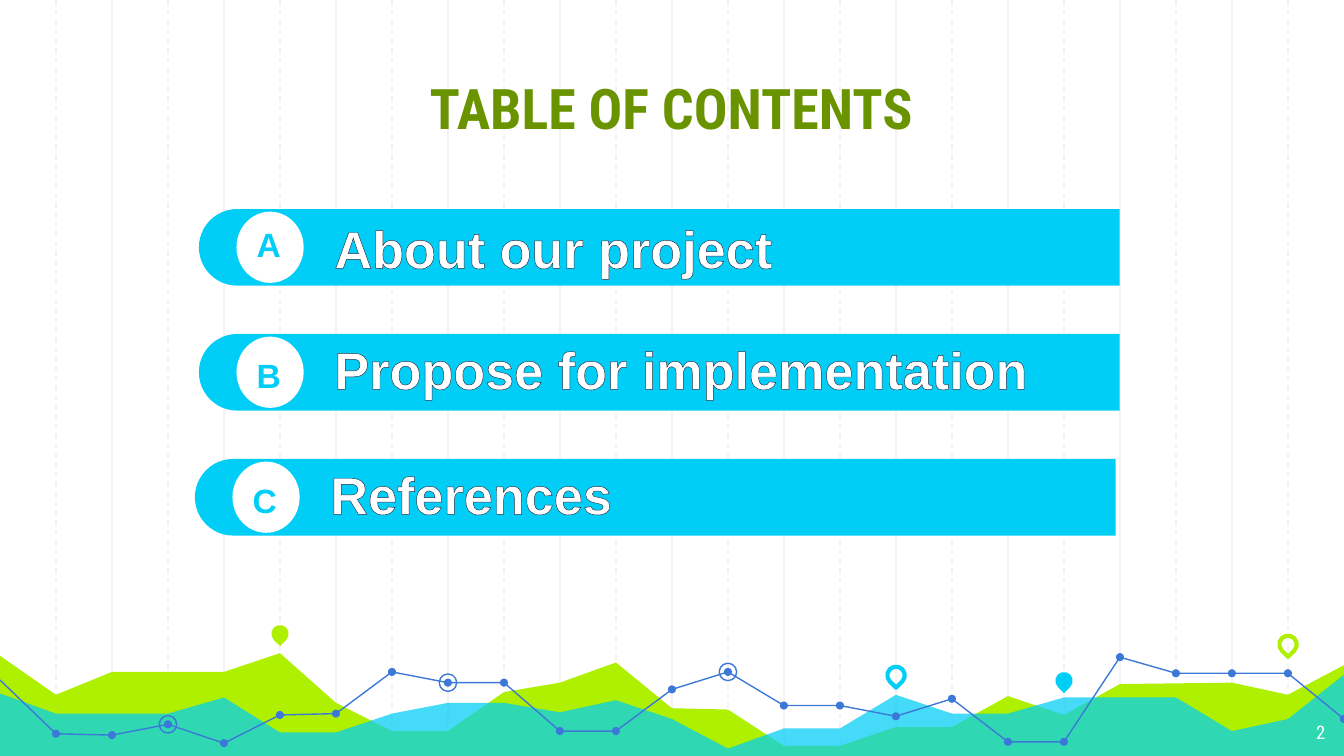
"""Build a table of contents slide with three lettered bars above a chart landscape."""
from lxml import etree
from pptx import Presentation
from pptx.dml.color import RGBColor
from pptx.enum.dml import MSO_LINE
from pptx.enum.shapes import MSO_CONNECTOR, MSO_SHAPE
from pptx.enum.text import MSO_ANCHOR, PP_ALIGN
from pptx.oxml.ns import qn
from pptx.util import Inches, Pt

GRID = RGBColor(0xF3, 0xF3, 0xF3)
LIME = RGBColor(0xAF, 0xF0, 0x00)
CYAN = RGBColor(0x00, 0xCE, 0xF6)
BLUE = RGBColor(0x3C, 0x78, 0xD8)
OLIVE = RGBColor(0x6A, 0x93, 0x00)
WHITE = RGBColor(0xFF, 0xFF, 0xFF)
OUTLINE = "28324A"
DASH = MSO_LINE.DASH
STRAIGHT = MSO_CONNECTOR.STRAIGHT
ELLIPSE = MSO_SHAPE.OVAL
TEARDROP = MSO_SHAPE.TEAR
BAR = MSO_SHAPE.ROUND_2_SAME_RECTANGLE
TOP, BOTTOM = MSO_ANCHOR.TOP, MSO_ANCHOR.BOTTOM
LEFT, CENTER, RIGHT = PP_ALIGN.LEFT, PP_ALIGN.CENTER, PP_ALIGN.RIGHT

WIDTH, HEIGHT = 10, 5.625
COLUMNS = 24
COLUMN = WIDTH / COLUMNS

presentation = Presentation()
presentation.slide_width = Inches(WIDTH)
presentation.slide_height = Inches(HEIGHT)
slide = presentation.slides.add_slide(presentation.slide_layouts[5])
shapes = slide.shapes


def paint(shape, fill=None, line=None, weight=0.75):
    shape.shadow.inherit = False
    if fill is None:
        shape.fill.background()
    else:
        shape.fill.solid()
        shape.fill.fore_color.rgb = fill
    if line is None:
        shape.line.fill.background()
    else:
        shape.line.color.rgb = line
        shape.line.width = Pt(weight)
    return shape


def write(shape, text, box, margin, anchor, alignment, font):
    for name, value in zip(("left", "top", "width", "height"), box):
        setattr(shape, name, Inches(value))
    frame = shape.text_frame
    layout = {"word_wrap": True, "vertical_anchor": anchor,
              "margin_left": Inches(0.1), "margin_right": Inches(0.1),
              "margin_top": Inches(margin), "margin_bottom": Inches(margin)}
    for name, value in layout.items():
        setattr(frame, name, value)
    paragraph = frame.paragraphs[0]
    paragraph.alignment = alignment
    run = paragraph.add_run()
    run.text = text
    size, family, bold, color = font
    for name, value in {"size": Pt(size), "name": family, "bold": bold}.items():
        setattr(run.font, name, value)
    run.font.color.rgb = color
    return run


for column in range(1, COLUMNS):
    x = Inches(column * COLUMN)
    grid_line = shapes.add_connector(STRAIGHT, x, 0, x, Inches(HEIGHT))
    grid_line.line.color.rgb = GRID
    grid_line.line.width = Pt(0.75)
    if column % 2:
        grid_line.line.dash_style = DASH
    etree.SubElement(grid_line.element.spPr, qn("a:effectLst"))

lime_ridge = [
    (0, 4.88), (1, 5.17), (2, 5), (4, 5), (5, 4.86), (6, 5.23), (7, 5.44), (8, 5.44),
    (9, 5.15), (10, 5.08), (11, 4.93), (12, 5.27), (13, 5.28), (14, 5.55), (15, 5.55),
    (16, 5.41), (17, 5.41), (18, 5.18), (19, 5.32), (20, 5.09), (22, 5.08), (23, 5.17),
    (24, 4.95)]
cyan_ridge = [
    (0, 5.16), (1, 5.31), (3, 5.31), (4, 5.19), (5, 5.45), (6, 5.45), (7, 5.31),
    (8, 5.23), (9, 5.23), (10, 5.3), (11, 5.21), (12, 5.35), (13, 5.57), (14, 5.42),
    (15, 5.42), (16, 5.17), (17, 5.31), (18, 5.31), (19, 5.19), (21, 5.19), (22, 5.44),
    (23, 5.35), (24, 5.02)]
trend = list(enumerate([
    5.06, 5.46, 5.47, 5.39, 5.53, 5.32, 5.31, 5, 5.08, 5.08, 5.44, 5.44, 5.13,
    5, 5.25, 5.25, 5.33, 5.2, 5.52, 5.52, 4.89, 5.01, 5.01, 5.01, 5.35]))
base = [(COLUMNS, HEIGHT), (0, HEIGHT)]

outlines = []
for points, closed in ((lime_ridge + base, True), (cyan_ridge + base, True), (trend, False)):
    vertices = [(Inches(column * COLUMN), Inches(y)) for column, y in points]
    builder = shapes.build_freeform(*vertices[0])
    builder.add_line_segments(vertices[1:], close=closed)
    outlines.append(builder.convert_to_shape())
lime_area, cyan_area, trend_line = outlines
paint(lime_area, fill=LIME)
paint(cyan_area, fill=CYAN)
paint(trend_line, line=BLUE)
cyan_color = cyan_area.element.spPr.find(qn("a:solidFill")).find(qn("a:srgbClr"))
etree.SubElement(cyan_color, qn("a:alpha"), val="73000")

dots = [(column, y, 0.06, BLUE, None) for column, y in trend[1:]]
rings = [(column, trend[column][1], 0.13, None, BLUE) for column in (3, 8, 13)]
for column, y, size, fill, line in dots + rings:
    marker = shapes.add_shape(ELLIPSE, Inches(column * COLUMN - size / 2),
                              Inches(y - size / 2), Inches(size), Inches(size))
    paint(marker, fill, line)

pins = [(5, 4.65, LIME, None), (16, 4.96, None, CYAN),
        (19, 5, CYAN, None), (23, 4.73, None, LIME)]
for column, top, fill, line in pins:
    pin = shapes.add_shape(TEARDROP, Inches(column * COLUMN - 0.065), Inches(top),
                           Inches(0.13), Inches(0.13))
    pin.rotation = 135
    paint(pin, fill, line, 2.25)

title = shapes.title
title.element.getparent().append(title.element)
write(title, "TABLE OF CONTENTS", (1.17, 0.37, 7.65, 0.78), 0.1, BOTTOM, CENTER,
      (30, "Roboto Condensed", True, OLIVE))
write(shapes.add_textbox(0, 0, 0, 0), "2", (9.36, 5.28, 0.6, 0.35), 0.1, TOP, RIGHT,
      (10, "Roboto Condensed", False, WHITE))

BAR_LENGTH, BAR_THICKNESS = 6.85, 0.57
entries = [("A", "About our project", 1.76, 1.62, 1.56),
           ("B", "Propose for implementation", 1.76, 2.59, 2.46),
           ("C", "References", 1.73, 3.52, 3.39)]
for row, (letter, topic, left, letter_top, topic_top) in enumerate(entries):
    middle = 1.84 + row * 0.93
    bar = shapes.add_shape(BAR, Inches(left + 3.145 - BAR_THICKNESS / 2),
                           Inches(middle - BAR_LENGTH / 2),
                           Inches(BAR_THICKNESS), Inches(BAR_LENGTH))
    bar.rotation = 270
    bar.adjustments[0] = 0.5
    paint(bar, fill=CYAN)
    badge = shapes.add_shape(ELLIPSE, Inches(left), Inches(middle - 0.265),
                             Inches(0.5), Inches(0.53))
    paint(badge, fill=WHITE)
    write(shapes.add_textbox(0, 0, 0, 0), letter, (left, letter_top, 0.48, 0.4),
          0.05, TOP, CENTER, (18, "Arial", True, CYAN))
    run = write(shapes.add_textbox(0, 0, 0, 0), topic, (left + 0.63, topic_top, 5.56, 0.57),
                0.05, TOP, LEFT, (28, "Arial", True, WHITE))
    text_line = etree.Element(qn("a:ln"), w=str(Pt(0.75)))
    line_fill = etree.SubElement(text_line, qn("a:solidFill"))
    etree.SubElement(line_fill, qn("a:srgbClr"), val=OUTLINE)
    run.font.fill  
    run._r.get_or_add_rPr().insert(0, text_line)

presentation.save("out.pptx")
